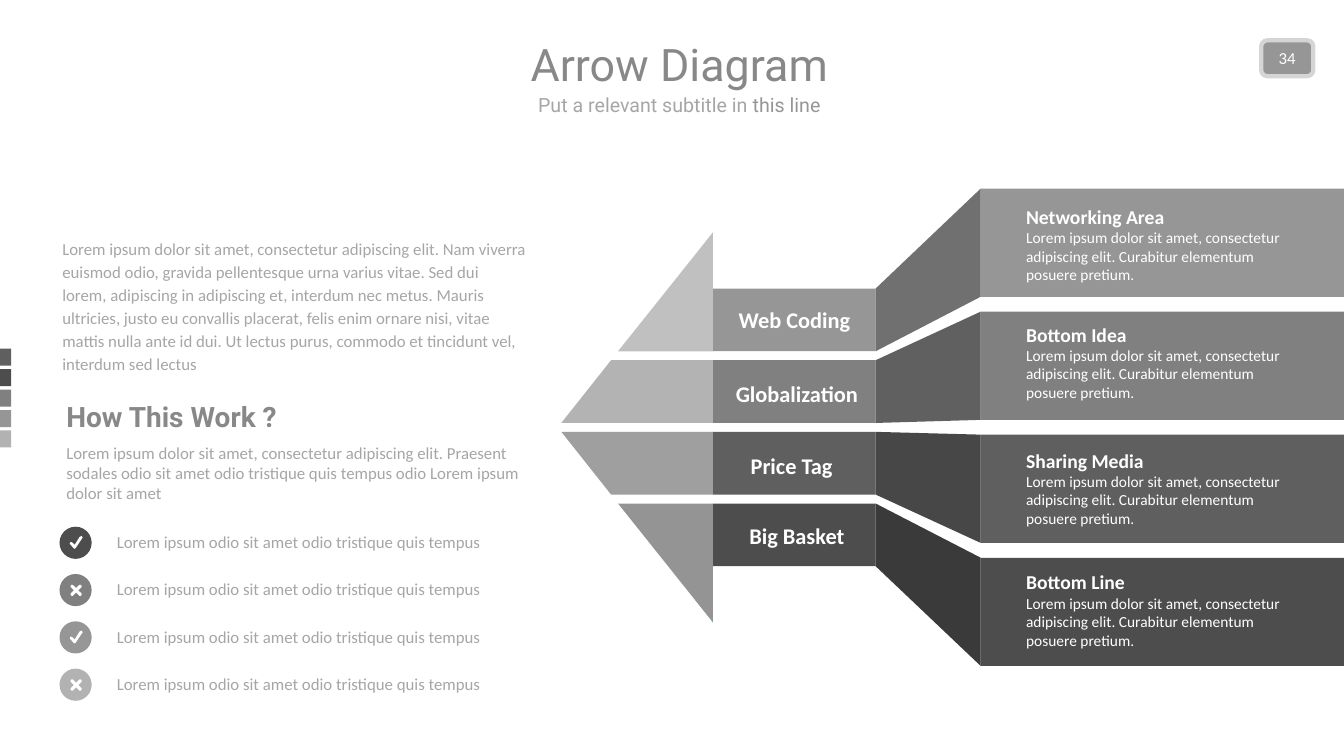
from pptx import Presentation
from pptx.dml.color import RGBColor
from pptx.enum.shapes import MSO_SHAPE
from pptx.enum.text import MSO_ANCHOR, MSO_AUTO_SIZE, PP_ALIGN
from pptx.util import Pt

COLORS = {
    "white": "FFFFFF", "title": "888888", "body": "A6A6A6", "border": "D5D5D5",
    "light": "B2B2B2", "silver": "969696", "gray": "808080", "dark": "5F5F5F",
    "black": "4D4D4D", "teal": "46BDC6",
    "bridge0": "707070", "bridge1": "606060", "bridge2": "474747", "bridge3": "3A3A3A",
    "head0": "C0C0C0", "head1": "B3B3B3", "head2": "9F9F9F", "head3": "949494",
}
STYLES = {
    "title": dict(name="Roboto", size=Pt(32)),
    "subtitle": dict(name="Roboto", size=Pt(14)),
    "heading": dict(name="Roboto", size=Pt(20), bold=True),
    "body": dict(name="Calibri", size=Pt(12)),
    "label": dict(name="Calibri", size=Pt(16), bold=True),
    "bar_title": dict(name="Calibri", size=Pt(14), bold=True),
    "bar_text": dict(name="Calibri", size=Pt(11), bold=False),
}
FIT = dict(auto_size=MSO_AUTO_SIZE.SHAPE_TO_FIT_TEXT)
FIT_LINE = dict(FIT, word_wrap=False)
NO_INSET = dict(margin_left=0, margin_top=0, margin_right=0, margin_bottom=0)
CENTER = dict(alignment=PP_ALIGN.CENTER)

BAR_X, BAR_Y, BAR_STEP, BAR_H = 700.5, 134.7, 87.9, 77.3
LABEL_X, LABEL_Y, LABEL_STEP, LABEL_H = 509.2, 206.1, 51.2, 44.8
LABEL_RIGHT = 625.5
AXIS = LABEL_Y + (3 * LABEL_STEP + LABEL_H) / 2
ITEM_X, ITEM_Y, ITEM_STEP, DOT = 42.5, 376.2, 33.8, 23

BAR_TEXT = ("Lorem ipsum dolor sit amet, consectetur adipiscing elit. "
            "Curabitur elementum posuere pretium.")
# label, its box (left, top, width), bar heading, top of bar text, fill
ROWS = [
    ("Web Coding", (527, 219, 81), "Networking Area", 142.6, "silver"),
    ("Globalization", (525, 271.4, 88.5), "Bottom Idea", 226.8, "gray"),
    ("Price Tag", (534.2, 323.3, 62.6), "Sharing Media", 316.8, "dark"),
    ("Big Basket", (535, 373, 68.4), "Bottom Line", 403.9, "black"),
]
CHECK = [(7.3, 12.2), (7.9, 10.9), (9.3, 11.4), (10.8, 13), (14.4, 7.3),
         (15.8, 6.6), (16.5, 7.9), (11.6, 15.2), (10.8, 15.8), (10, 15.3)]
CROSS_ARM = [(0, -1.6), (2.4, -4), (3.3, -4), (4, -3.3), (4, -2.4)]


def cross():
    """Turn one arm through four right angles around the dot's centre."""
    points, arm = [], CROSS_ARM
    for _ in range(4):
        points += [(x + 11.9, y + 11.7) for x, y in arm]
        arm = [(-y, x) for x, y in arm]
    return points


class Deck:
    def __init__(self):
        self.prs = Presentation()
        self.prs.slide_width, self.prs.slide_height = Pt(960), Pt(540)
        self.s = self.prs.slides.add_slide(self.prs.slide_layouts[6])

    def color(self, name):
        return RGBColor.from_string(COLORS[name])

    def paint(self, sp, fill):
        sp.shadow.inherit = False
        sp.fill.solid()
        sp.fill.fore_color.rgb = self.color(fill)
        sp.line.fill.background()
        return sp

    def shape(self, kind, x, y, w, h, fill):
        sp = self.s.shapes.add_shape(kind, Pt(x), Pt(y), Pt(w), Pt(h))
        return self.paint(sp, fill)

    def polygon(self, points, fill):
        start, *rest = [(Pt(x), Pt(y)) for x, y in points]
        builder = self.s.shapes.build_freeform(*start)
        builder.add_line_segments(rest, close=True)
        return self.paint(builder.convert_to_shape(), fill)

    def add_runs(self, tf, runs, para):
        """Fill the first paragraph with (text, style, colour) runs."""
        p = tf.paragraphs[0]
        for key, value in para.items():
            setattr(p, key, value)
        for text, style, color in runs:
            if text.startswith("\n"):
                p.add_line_break()
            r = p.add_run()
            r.text = text.lstrip("\n")
            for key, value in STYLES[style].items():
                setattr(r.font, key, value)
            r.font.color.rgb = self.color(color)

    def text(self, x, y, w, h, runs, frame={}, para={}):
        tf = self.s.shapes.add_textbox(Pt(x), Pt(y), Pt(w), Pt(h)).text_frame
        for key, value in {"word_wrap": True, **frame}.items():
            setattr(tf, key, value)
        self.add_runs(tf, runs, para)

    def header(self):
        para = dict(CENTER, line_spacing=0.9)
        self.text(71.3, 13.7, 828, 54.7, [("Arrow Diagram", "title", "title")],
                  dict(vertical_anchor=MSO_ANCHOR.BOTTOM), para)
        self.text(71.3, 64.8, 828, 39.6,
                  [("Put a relevant subtitle in ", "subtitle", "body"),
                   ("this line", "subtitle", "silver")], para=para)
        badge = self.shape(MSO_SHAPE.ROUNDED_RECTANGLE, 900.9, 28.8, 37.2, 25.6, "silver")
        badge.line.color.rgb = self.color("border")
        badge.line.width = Pt(3)
        badge.text_frame.vertical_anchor = MSO_ANCHOR.MIDDLE
        self.add_runs(badge.text_frame, [("34", "body", "white")], CENTER)

    def swatches(self):
        for i, fill in enumerate(["dark", "black", "gray", "silver", "light"]):
            self.shape(MSO_SHAPE.RECTANGLE, 0, 249.1 + 14.6 * i, 8, 12.2, fill)

    def arrow(self):
        upper = [
            [(LABEL_X, 166.1), (441.5, LABEL_Y + LABEL_H), (LABEL_X, LABEL_Y + LABEL_H)],
            [(436.5, 257.3), (401, 302.1), (LABEL_X, 302.1), (LABEL_X, 257.3)],
        ]
        lower = [[(x, 2 * AXIS - y) for x, y in piece] for piece in reversed(upper)]
        for i, piece in enumerate(upper + lower):
            self.polygon(piece, f"head{i}")
        self.polygon([(508.3, 443.5), (509.2, 444.5), (509.2, 443.3)], "teal")

    def rows(self):
        for i, (label, (x, y, w), heading, text_y, fill) in enumerate(ROWS):
            bar, tag = BAR_Y + BAR_STEP * i, LABEL_Y + LABEL_STEP * i
            self.shape(MSO_SHAPE.RECTANGLE, BAR_X, bar, 960 - BAR_X, BAR_H, fill)
            self.shape(MSO_SHAPE.RECTANGLE, LABEL_X, tag, LABEL_RIGHT - LABEL_X, LABEL_H, fill)
            self.polygon([(LABEL_RIGHT, tag), (BAR_X, bar), (BAR_X, bar + BAR_H),
                          (LABEL_RIGHT, tag + LABEL_H)], f"bridge{i}")
            self.text(725.8, text_y, 212.4, 69.8,
                      [(heading, "bar_title", "white"), ("\n" + BAR_TEXT, "bar_text", "white")])
            self.text(x, y, w, 19.4, [(label, "label", "white")],
                      {**FIT_LINE, **NO_INSET}, CENTER)

    def left_column(self):
        self.text(37.4, 164.9, 346.3, 110.2, [(
            "Lorem ipsum dolor sit amet, consectetur adipiscing elit. Nam viverra euismod "
            "odio, gravida pellentesque urna varius vitae. Sed dui lorem, adipiscing in "
            "adipiscing et, interdum nec metus. Mauris ultricies, justo eu convallis placerat, "
            "felis enim ornare nisi, vitae mattis nulla ante id dui. Ut lectus purus, commodo "
            "et tincidunt vel, interdum sed lectus", "body", "body")],
            FIT, dict(line_spacing=Pt(16.5), space_after=Pt(15)))
        self.text(40.3, 281.5, 177, 31.7, [("How This Work ?", "heading", "title")], FIT_LINE)
        self.text(40.3, 312.5, 339.8, 51, [(
            "Lorem ipsum dolor sit amet, consectetur adipiscing elit. Praesent sodales odio "
            "sit amet odio tristique quis tempus odio Lorem ipsum dolor sit amet",
            "body", "body")], FIT)
        for i, fill in enumerate(["black", "gray", "silver", "light"]):
            y = ITEM_Y + ITEM_STEP * i
            self.shape(MSO_SHAPE.OVAL, ITEM_X, y, DOT, DOT, fill)
            icon = cross() if i % 2 else CHECK
            self.polygon([(ITEM_X + dx, y + dy) for dx, dy in icon], "white")
            self.text(76.3, y, 277.2, 21.8, [(
                "Lorem ipsum odio sit amet odio tristique quis tempus", "body", "body")],
                FIT_LINE)


def main():
    deck = Deck()
    deck.header()
    deck.swatches()
    deck.rows()
    deck.arrow()
    deck.left_column()
    deck.prs.save("out.pptx")


if __name__ == "__main__":
    main()
